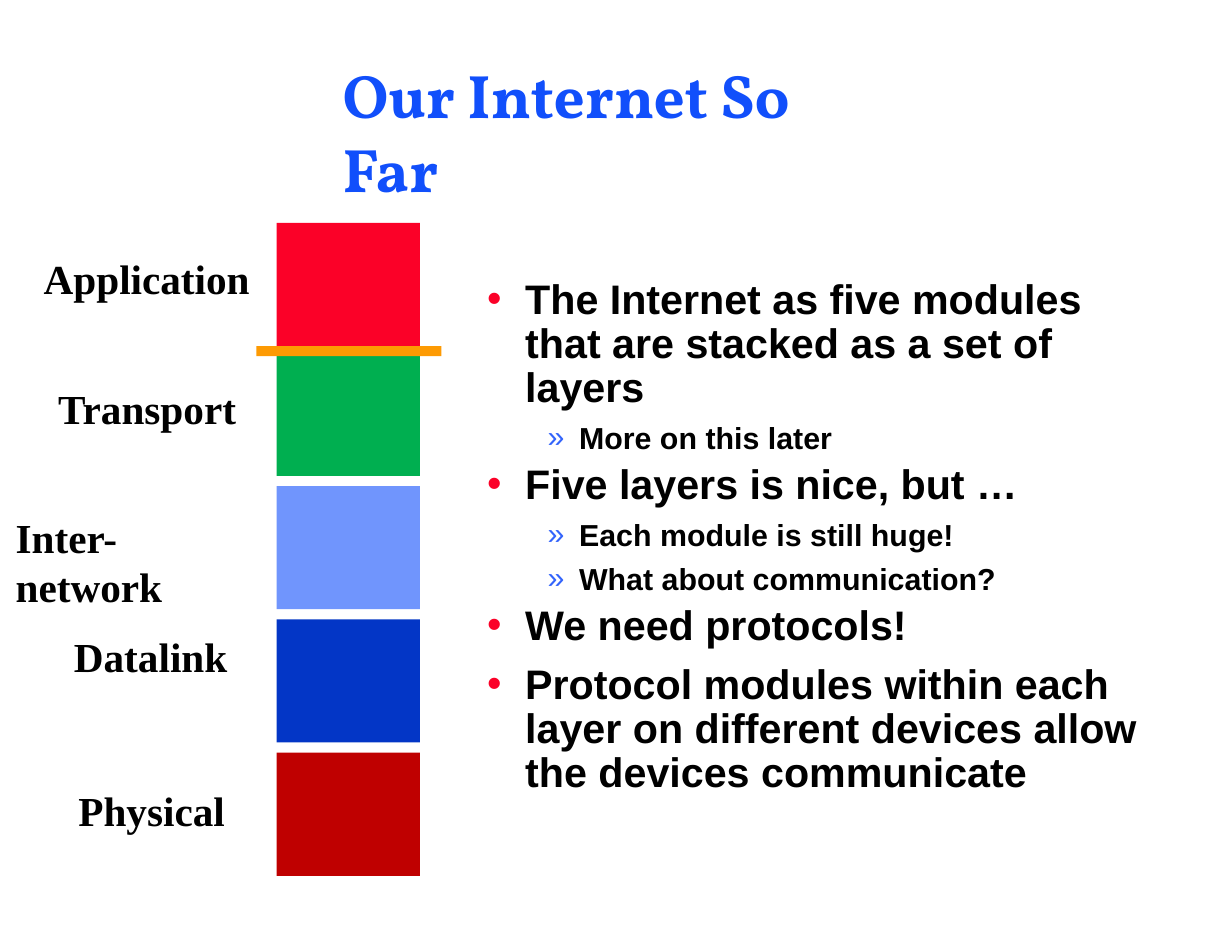
from lxml import etree
from pptx import Presentation
from pptx.dml.color import RGBColor
from pptx.enum import shapes
from pptx.oxml import ns
from pptx.util import Inches, Pt

COLORS = {
    "title": "114FFB", "text": "000000", "dot": "FB0128", "chevron": "3364FB",
    "application": "FB0128", "transport": "00AF50", "network": "7095FD",
    "datalink": "0336C6", "physical": "BF0000", "divider": "FD9A03",
}

STACK_LEFT, STACK_WIDTH = 2.47, 1.28

# Colour, top and height of the block; label and its left, top and width
LAYERS = [
    ("application", 1.99, 1.1, "Application", 0.39, 2.24, 1.9),
    ("transport", 3.18, 1.07, "Transport", 0.52, 3.4, 1.7),
    ("network", 4.34, 1.1, "Inter-network", 0.14, 4.55, 2.1),
    ("datalink", 5.53, 1.1, "Datalink", 0.66, 5.62, 1.5),
    ("physical", 6.72, 1.1, "Physical", 0.7, 6.99, 1.4),
]

# Level, space before in points, text
POINTS = [
    (0, 0, "The Internet as five modules that are stacked as a set of layers"),
    (1, 5, "More on this later"),
    (0, 5.8, "Five layers is nice, but …"),
    (1, 4.8, "Each module is still huge!"),
    (1, 5, "What about communication?"),
    (0, 5.7, "We need protocols!"),
    (0, 9.6, "Protocol modules within each layer on different devices allow "
             "the devices communicate"),
]

# Bullet, its colour, left margin, hanging indent, text size, line spacing
LEVELS = [
    ("•", "dot", 0.36, -0.34, 26.5, 0.89),
    ("»", "chevron", 0.84, -0.28, 19.5, 1.0),
]


def color(name):
    return RGBColor.from_string(COLORS[name])


def style(para, font, size, color_name):
    for span in para.runs:
        span.font.name = font
        span.font.size = Pt(size)
        span.font.bold = True
        span.font.color.rgb = color(color_name)


def add_frame(page, left, top, width, height, inset):
    box = page.shapes.add_textbox(
        Inches(left), Inches(top), Inches(width), Inches(height))
    frame = box.text_frame
    frame.word_wrap = True
    frame.margin_left = frame.margin_right = frame.margin_bottom = 0
    frame.margin_top = Inches(inset)
    return frame


def add_line(page, content, left, top, width, height, font, size, color_name):
    frame = add_frame(page, left, top, width, height, 0.02)
    frame.text = content
    style(frame.paragraphs[0], font, size, color_name)


def add_block(page, left, top, width, height, color_name):
    block = page.shapes.add_shape(
        shapes.MSO_SHAPE.RECTANGLE,
        Inches(left), Inches(top), Inches(width), Inches(height))
    block.shadow.inherit = False
    block.fill.solid()
    block.fill.fore_color.rgb = color(color_name)
    block.line.fill.background()


def set_bullet(para, mark, color_name, margin, indent):
    props = para._p.get_or_add_pPr()
    props.set("marL", str(Inches(margin)))
    props.set("indent", str(Inches(indent)))
    tint = etree.SubElement(props, ns.qn("a:buClr"))
    etree.SubElement(tint, ns.qn("a:srgbClr"), val=COLORS[color_name])
    etree.SubElement(props, ns.qn("a:buFont"), typeface="Arial")
    etree.SubElement(props, ns.qn("a:buChar"), char=mark)


def add_points(page, left, top, width, height):
    frame = add_frame(page, left, top, width, height, 0.06)
    for index, (level, before, content) in enumerate(POINTS):
        mark, tint, margin, indent, size, spacing = LEVELS[level]
        para = frame.add_paragraph() if index else frame.paragraphs[0]
        para.text = content
        set_bullet(para, mark, tint, margin, indent)
        para.line_spacing = spacing
        if before:
            para.space_before = Pt(before)
        style(para, "Arial", size, "text")


def main():
    deck = Presentation()
    deck.slide_width, deck.slide_height = Inches(11), Inches(8.5)
    page = deck.slides.add_slide(deck.slide_layouts[6])

    # Title and bullet points
    add_line(page, "Our Internet So Far", 3.06, 0.49, 4.89, 0.69,
             "Vollkorn", 39.5, "title")
    add_points(page, 4.33, 2.43, 5.9, 4.78)

    # Layer stack with labels
    for tint, top, height, name, label_left, label_top, label_width in LAYERS:
        add_block(page, STACK_LEFT, top, STACK_WIDTH, height, tint)
        add_line(page, name, label_left, label_top, label_width, 0.47,
                 "Times New Roman", 26.5, "text")

    # Divider below the application layer
    add_block(page, 2.29, 3.09, 1.65, 0.09, "divider")

    deck.save("out.pptx")


if __name__ == "__main__":
    main()
